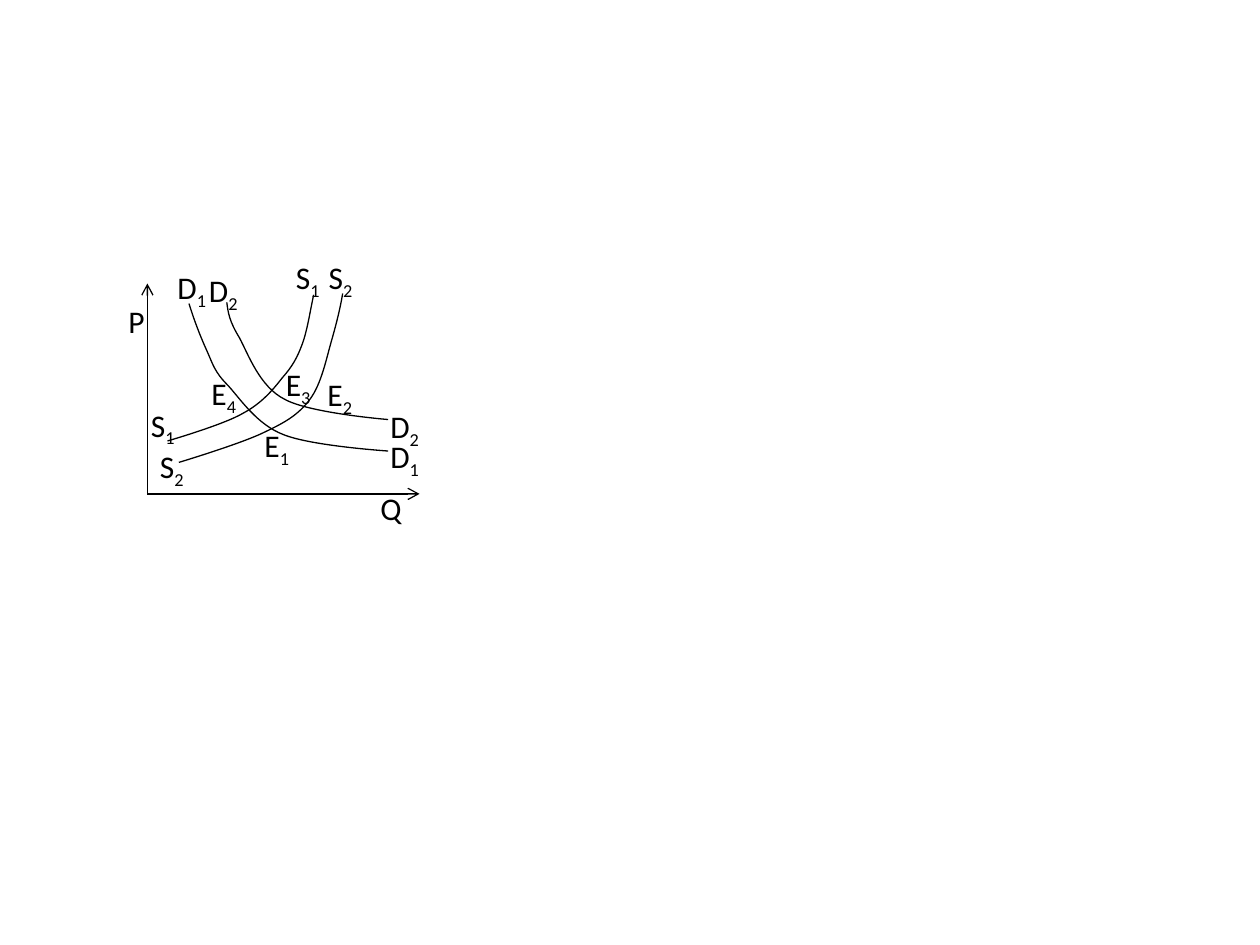
from lxml.etree import SubElement
from pptx import Presentation
from pptx.dml.color import RGBColor
from pptx.enum.shapes import MSO_CONNECTOR
from pptx.enum.text import MSO_AUTO_SIZE
from pptx.oxml.ns import qn
from pptx.util import Inches, Pt

COLORS = {"ink": "000000"}
FONT = "Calibri"
ORIGIN = (1.17, 3.92)
AXIS_ENDS = [(1.17, 2.25), (3.33, 3.92)]

# Each curve: start point, then two control points and an end point per segment
CURVES = [
    # Demand D1
    [(1.5, 2.41), (1.54, 2.54), (1.59, 2.67), (1.64, 2.78),
     (1.69, 2.89), (1.7, 2.95), (1.81, 3.06),
     (1.91, 3.17), (2.04, 3.37), (2.25, 3.45),
     (2.47, 3.54), (3.08, 3.58), (3.08, 3.58)],
    # Supply S1
    [(2.49, 2.34), (2.46, 2.48), (2.44, 2.62), (2.4, 2.73),
     (2.36, 2.84), (2.32, 2.91), (2.24, 3),
     (2.17, 3.09), (2.08, 3.2), (1.93, 3.28),
     (1.78, 3.37), (1.33, 3.5), (1.33, 3.5)],
    # Demand D2
    [(1.8, 2.4), (1.81, 2.48), (1.82, 2.55), (1.9, 2.68),
     (1.97, 2.81), (2.06, 3.07), (2.26, 3.17),
     (2.46, 3.28), (3.08, 3.33), (3.08, 3.33)],
    # Supply S2
    [(2.72, 2.33), (2.7, 2.45), (2.67, 2.57), (2.63, 2.71),
     (2.59, 2.85), (2.55, 3.05), (2.46, 3.17),
     (2.37, 3.29), (2.27, 3.35), (2.1, 3.43),
     (1.92, 3.52), (1.42, 3.67), (1.42, 3.67)],
]

# Letter, subscript, left, top
LABELS = [
    ("D", "1", 1.31, 2.08), ("D", "2", 1.56, 2.1),
    ("D", "2", 3, 3.18), ("D", "1", 3, 3.42),
    ("S", "1", 2.25, 2), ("S", "1", 1.1, 3.17),
    ("S", "2", 1.17, 3.5), ("S", "2", 2.51, 2),
    ("E", "1", 2, 3.33), ("E", "4", 1.58, 2.92),
    ("E", "3", 2.17, 2.85), ("E", "2", 2.5, 2.93),
    ("P", "", 0.92, 2.35), ("Q", "", 2.92, 3.83),
]
LABEL_WIDTHS = {"D": 0.44, "S": 0.4, "E": 0.41, "P": 0.33, "Q": 0.37}
LABEL_HEIGHT = 0.4


def style_line(line):
    line.color.rgb = RGBColor.from_string(COLORS["ink"])
    line.width = Pt(0.75)


def add_axis(slide, end):
    axis = slide.shapes.add_connector(
        MSO_CONNECTOR.STRAIGHT, *map(Inches, ORIGIN + end))
    style_line(axis.line)
    SubElement(axis.line._get_or_add_ln(), qn("a:tailEnd"), type="arrow")
    SubElement(axis._element.spPr, qn("a:effectLst"))


def add_curve(slide, points):
    start, *rest = [(Inches(x), Inches(y)) for x, y in points]
    builder = slide.shapes.build_freeform(*start)
    builder.add_line_segments(rest, close=False)
    curve = builder.convert_to_shape()
    curve.shadow.inherit = False
    curve.fill.background()
    style_line(curve.line)
    # Turn every three line segments into one Bezier segment
    segments = curve._element.xpath(".//a:lnTo")
    outline = segments[0].getparent()
    for first in range(0, len(segments), 3):
        bezier = SubElement(outline, qn("a:cubicBezTo"))
        for segment in segments[first:first + 3]:
            bezier.append(segment[0])
            outline.remove(segment)


def add_label(slide, letter, subscript, left, top):
    box = slide.shapes.add_textbox(
        *map(Inches, (left, top, LABEL_WIDTHS[letter], LABEL_HEIGHT)))
    frame = box.text_frame
    frame.word_wrap = False
    frame.auto_size = MSO_AUTO_SIZE.SHAPE_TO_FIT_TEXT
    paragraph = frame.paragraphs[0]
    paragraph.font.name = FONT
    paragraph.font.size = Pt(18)
    paragraph.font.color.rgb = RGBColor.from_string(COLORS["ink"])
    paragraph.add_run().text = letter
    if subscript:
        run = paragraph.add_run()
        run.text = subscript
        run._r.get_or_add_rPr().set("baseline", "-25000")


def main():
    presentation = Presentation()
    presentation.slide_width = Inches(10)
    presentation.slide_height = Inches(7.5)
    slide = presentation.slides.add_slide(presentation.slide_layouts[6])

    # Axes, supply and demand curves, then their labels
    for end in AXIS_ENDS:
        add_axis(slide, end)
    for points in CURVES:
        add_curve(slide, points)
    for label in LABELS:
        add_label(slide, *label)

    presentation.save("out.pptx")


if __name__ == "__main__":
    main()
